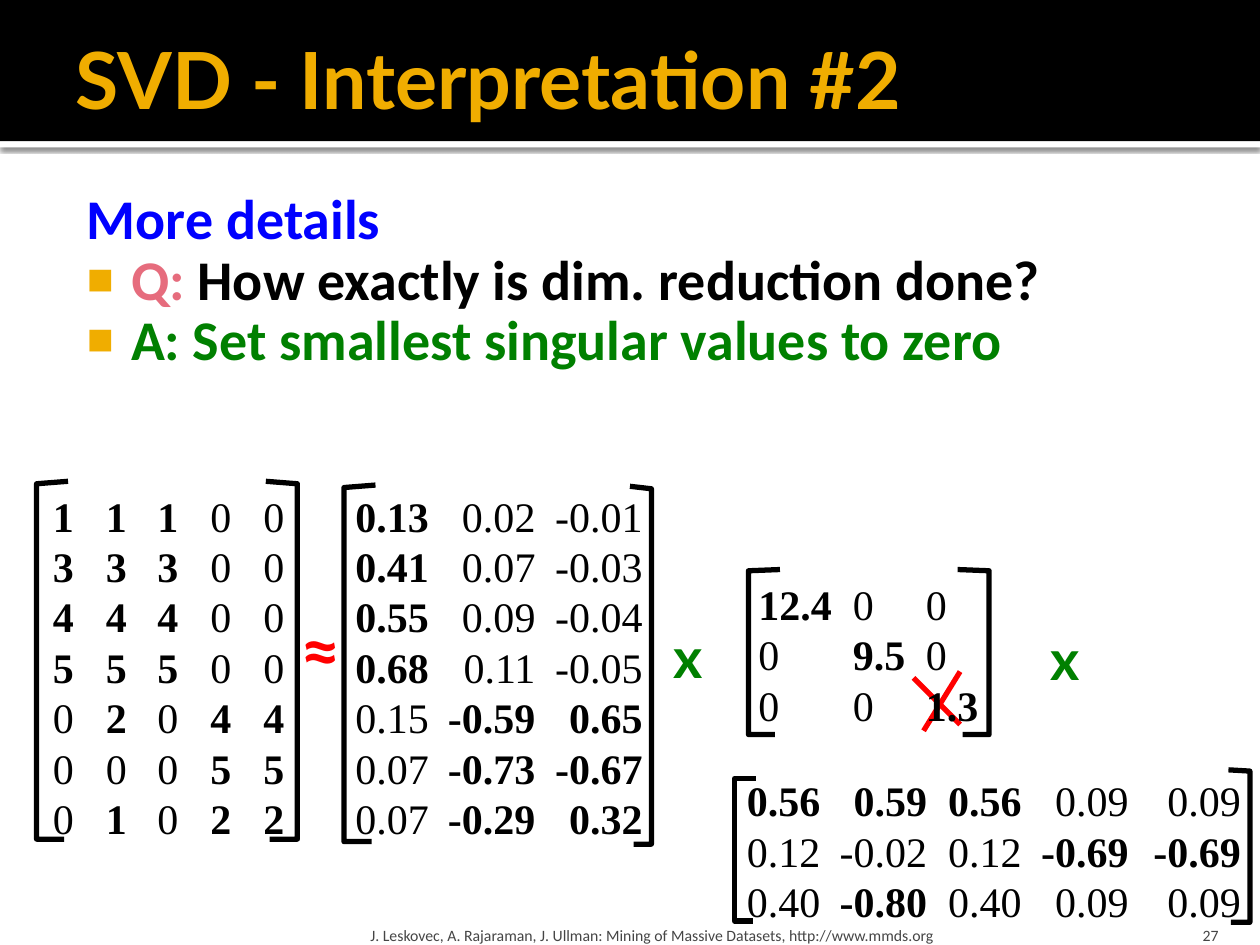
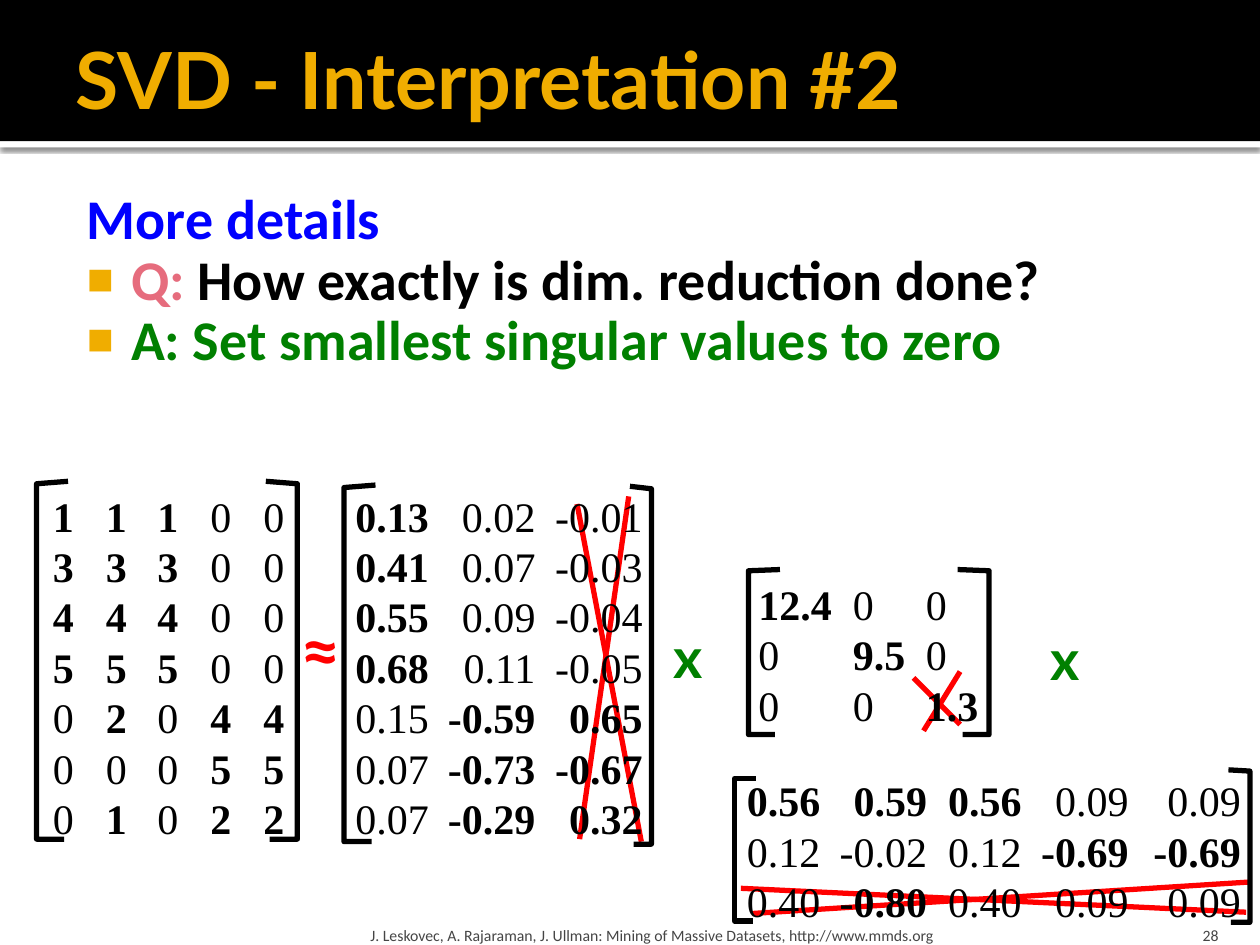
from lxml import etree
from pptx import Presentation
from pptx.dml.color import RGBColor
from pptx.enum.shapes import MSO_CONNECTOR, MSO_SHAPE
from pptx.enum.text import MSO_ANCHOR, MSO_AUTO_SIZE, PP_ALIGN
from pptx.oxml.ns import qn
from pptx.util import Inches, Pt

STRAIGHT = MSO_CONNECTOR.STRAIGHT
RECTANGLE = MSO_SHAPE.RECTANGLE
TOP, MIDDLE, BOTTOM = MSO_ANCHOR.TOP, MSO_ANCHOR.MIDDLE, MSO_ANCHOR.BOTTOM
NO_AUTOFIT = MSO_AUTO_SIZE.NONE
LEFT, RIGHT = PP_ALIGN.LEFT, PP_ALIGN.RIGHT

BLACK, WHITE, GOLD, RED = "000000", "FFFFFF", "F0AD00", "FF0000"
BLUE, PINK, GREEN, GRAY = "0000FF", "E66C7D", "008000", "454545"

TITLE = "SVD - Interpretation #2"
FOOTER = ("J. Leskovec, A. Rajaraman, J. Ullman: Mining of Massive Datasets, "
          "http://www.mmds.org")
BODY = [
    (False, [("More details", BLUE)]),
    (True, [("Q:", PINK), (" How exactly is dim. reduction done?", BLACK)]),
    (True, [("A: Set smallest singular values to zero", GREEN)]),
]

# Each matrix: box, left inset, tab alignment, tab stops, rows (* marks bold)
MATRICES = [
    ((0.25, 3.82, 2.17, 2.93), 0.17, "l", [0.42, 0.83, 1.25, 1.67], [
        "*1 *1 *1 0 0", "*3 *3 *3 0 0", "*4 *4 *4 0 0", "*5 *5 *5 0 0",
        "0 *2 0 *4 *4", "0 0 0 *5 *5", "0 *1 0 *2 *2"]),
    ((2.59, 3.82, 2.75, 2.93), 0.23, "r", [1.43, 2.28], [
        "*0.13 0.02 -0.01", "*0.41 0.07 -0.03", "*0.55 0.09 -0.04",
        "*0.68 0.11 -0.05", "0.15 *-0.59 *0.65", "0.07 *-0.73 *-0.67",
        "0.07 *-0.29 *0.32"]),
    ((5.92, 4.52, 2.17, 1.31), 0.1, "l", [0.75, 1.33], [
        "*12.4 0 0", "0 *9.5 0", "0 0 *1.3"]),
    ((5.83, 6.08, 4.17, 1.31), 0.1, "r", [1.43, 2.18, 3.03, 3.92], [
        "*0.56 *0.59 *0.56 0.09 0.09", "0.12 -0.02 0.12 *-0.69 *-0.69",
        "0.40 *-0.80 0.40 0.09 0.09"]),
]

# Each bracket: edge x, top tip (x, y), corner y, bottom y, bottom tip x
BRACKETS = [
    (0.29, (0.54, 3.82), 3.84, 6.66, 0.51),
    (2.36, (2.11, 3.82), 3.84, 6.66, 2.14),
    (2.73, (2.98, 3.85), 3.87, 6.68, 2.95),
    (5.17, (5.00, 3.86), 3.88, 6.70, 5.03),
    (5.94, (6.19, 4.52), 4.53, 5.83, 6.15),
    (7.85, (7.60, 4.52), 4.53, 5.83, 7.64),
    (5.83, (6.00, 6.18), 6.18, 7.31, 5.98),
    (9.92, (9.75, 6.11), 6.12, 7.32, 9.77),
]

OPERATORS = [
    ("x", (5.25, 4.89, 0.44, 0.64), 32, GREEN),
    ("x", (8.24, 4.9, 0.44, 0.64), 32, GREEN),
    ("≈", (2.29, 4.76, 0.51, 0.77), 40, RED),
]

SINGULAR_VALUE_CROSS = [((7.33, 5.8), (7.62, 5.33)), ((7.25, 5.38), (7.62, 5.75))]
COLUMN_CROSS = [((4.6, 6.66), (4.99, 3.94)), ((4.58, 4), (5.09, 6.68))]
ROW_CROSS = [((9.89, 7.24), (5.88, 7.05)), ((5.97, 7.25), (9.92, 7))]
SLIDES = [
    (27, SINGULAR_VALUE_CROSS),
    (28, SINGULAR_VALUE_CROSS + COLUMN_CROSS + ROW_CROSS),
]


def color(hex_string):
    return RGBColor.from_string(hex_string)


def inches(values):
    return [Inches(value) for value in values]


def add_xml(parent, tag, **attributes):
    return etree.SubElement(parent, qn(tag), attributes)


class Deck:
    """Holds the shared style and the slide being built."""

    def __init__(self):
        self.presentation = Presentation()
        self.presentation.slide_width = Inches(10)
        self.presentation.slide_height = Inches(7.5)
        self.layout = self.presentation.slide_layouts[1]
        self.slide = None

    def new_slide(self):
        self.slide = self.presentation.slides.add_slide(self.layout)
        if len(self.presentation.slides) == 1:
            self.add_layout_bands()

    def add_layout_bands(self):
        """Draw the title bands and move them behind the layout's placeholders."""
        strip = self.band((0, 1.12, 10, 0.05), WHITE)
        effects = strip.element.spPr.find(qn("a:effectLst"))
        shadow = add_xml(effects, "a:outerShdw", blurRad=str(Pt(2.5)),
                         dist=str(Pt(0.8)), dir="5400000", rotWithShape="0")
        shadow_color = add_xml(shadow, "a:srgbClr", val=BLACK)
        add_xml(shadow_color, "a:alpha", val="60000")
        header = self.band((0, 0, 10, 1.12), BLACK)
        for position, shape in enumerate((strip, header), start=2):
            self.layout.shapes.element.insert(position, shape.element)

    def band(self, box, fill):
        shape = self.slide.shapes.add_shape(RECTANGLE, *inches(box))
        shape.shadow.inherit = False
        shape.fill.solid()
        shape.fill.fore_color.rgb = color(fill)
        shape.line.fill.background()
        return shape

    def frame(self, shape, insets, anchor=TOP):
        """Set a text frame's insets (left, top, right, bottom) and anchor."""
        left, top, right, bottom = inches(insets)
        text_frame = shape.text_frame
        settings = {
            "word_wrap": True, "auto_size": NO_AUTOFIT, "vertical_anchor": anchor,
            "margin_left": left, "margin_top": top,
            "margin_right": right, "margin_bottom": bottom,
        }
        for name, value in settings.items():
            setattr(text_frame, name, value)
        return text_frame

    def run(self, paragraph, text, size, hex_string, font="Lato", bold=True):
        run = paragraph.add_run()
        run.text = text
        settings = {"name": font, "size": Pt(size), "bold": bold}
        for name, value in settings.items():
            setattr(run.font, name, value)
        run.font.color.rgb = color(hex_string)

    def paragraphs(self, text_frame, items):
        """Yield a paragraph for each item, beginning with the existing one."""
        for index, item in enumerate(items):
            first = index == 0
            yield (text_frame.paragraphs[0] if first
                   else text_frame.add_paragraph()), item

    def place(self, shape, box):
        for name, value in zip(("left", "top", "width", "height"), inches(box)):
            setattr(shape, name, value)

    def title(self, text):
        shape = self.slide.shapes.title
        self.place(shape, (0.5, 0.08, 9, 1.08))
        paragraph = self.frame(shape, (0.1, 0.05, 0.05, 0.05), MIDDLE).paragraphs[0]
        paragraph.alignment = LEFT
        self.run(paragraph, text, 45, GOLD)

    def body(self, items):
        shape = self.slide.placeholders[1]
        self.place(shape, (0.5, 1.42, 9, 5.75))
        text_frame = self.frame(shape, (0.06, 0.1, 0.1, 0.05))
        for paragraph, (bulleted, runs) in self.paragraphs(text_frame, items):
            paragraph.line_spacing = 0.9
            paragraph.space_before = Pt(0)
            properties = paragraph._p.get_or_add_pPr()
            properties.set("marL", str(Inches(0.48)))
            properties.set("indent", str(Inches(-0.35)))
            if bulleted:
                bullet_color = add_xml(properties, "a:buClr")
                add_xml(bullet_color, "a:srgbClr", val=GOLD)
                add_xml(properties, "a:buSzPct", val="80000")
                add_xml(properties, "a:buChar", char="■")
            else:
                add_xml(properties, "a:buNone")
            for text, hex_string in runs:
                self.run(paragraph, text, 32, hex_string, "Calibri")

    def label(self, text, box, size, hex_string, insets=(0.1, 0.05, 0.1, 0.05),
              anchor=MIDDLE, alignment=LEFT, font="Lato", bold=True):
        shape = self.slide.shapes.add_textbox(*inches(box))
        paragraph = self.frame(shape, insets, anchor).paragraphs[0]
        paragraph.alignment = alignment
        self.run(paragraph, text, size, hex_string, font, bold)

    def footer(self, number):
        small = {"size": 9, "hex_string": GRAY, "anchor": BOTTOM,
                 "font": "Calibri", "bold": False}
        self.label(FOOTER, (2.89, 7.2, 6.02, 0.3),
                   insets=(0.05, 0.05, 0.05, 0), **small)
        self.label(str(number), (8.97, 7.2, 0.8, 0.3),
                   insets=(0.1, 0.05, 0.1, 0), alignment=RIGHT, **small)

    def strike(self, start, end):
        line = self.slide.shapes.add_connector(STRAIGHT, *inches(start + end))
        line.line.color.rgb = color(RED)
        line.line.width = Pt(3)
        add_xml(line.element.spPr, "a:effectLst")

    def bracket(self, edge, top_tip, corner, bottom, bottom_tip):
        builder = self.slide.shapes.build_freeform(*inches(top_tip))
        corners = [(edge, corner), (edge, bottom), (bottom_tip, bottom)]
        builder.add_line_segments([inches(point) for point in corners], close=False)
        shape = builder.convert_to_shape()
        shape.shadow.inherit = False
        shape.fill.background()
        shape.line.color.rgb = color(BLACK)
        shape.line.width = Pt(3)

    def matrix(self, box, inset, tab_alignment, stops, rows):
        """Write number rows whose columns are aligned by tab stops."""
        shape = self.slide.shapes.add_textbox(*inches(box))
        text_frame = self.frame(shape, (inset, 0.07, 0, 0.05))
        for paragraph, row in self.paragraphs(text_frame, rows):
            paragraph.line_spacing = Pt(28.8)
            tabs = add_xml(paragraph._p.get_or_add_pPr(), "a:tabLst")
            for stop in stops:
                add_xml(tabs, "a:tab", pos=str(Inches(stop)), algn=tab_alignment)
            for column, cell in enumerate(row.split()):
                text = ("\t" if column else "") + cell.lstrip("*")
                self.run(paragraph, text, 24, BLACK, "Times New Roman",
                         cell.startswith("*"))


def main():
    deck = Deck()
    for number, strikes in SLIDES:
        deck.new_slide()
        deck.title(TITLE)
        deck.body(BODY)
        deck.footer(number)
        for start, end in strikes:
            deck.strike(start, end)
        for bracket in BRACKETS:
            deck.bracket(*bracket)
        for matrix in MATRICES:
            deck.matrix(*matrix)
        for operator in OPERATORS:
            deck.label(*operator)
    deck.presentation.save("out.pptx")


if __name__ == "__main__":
    main()
